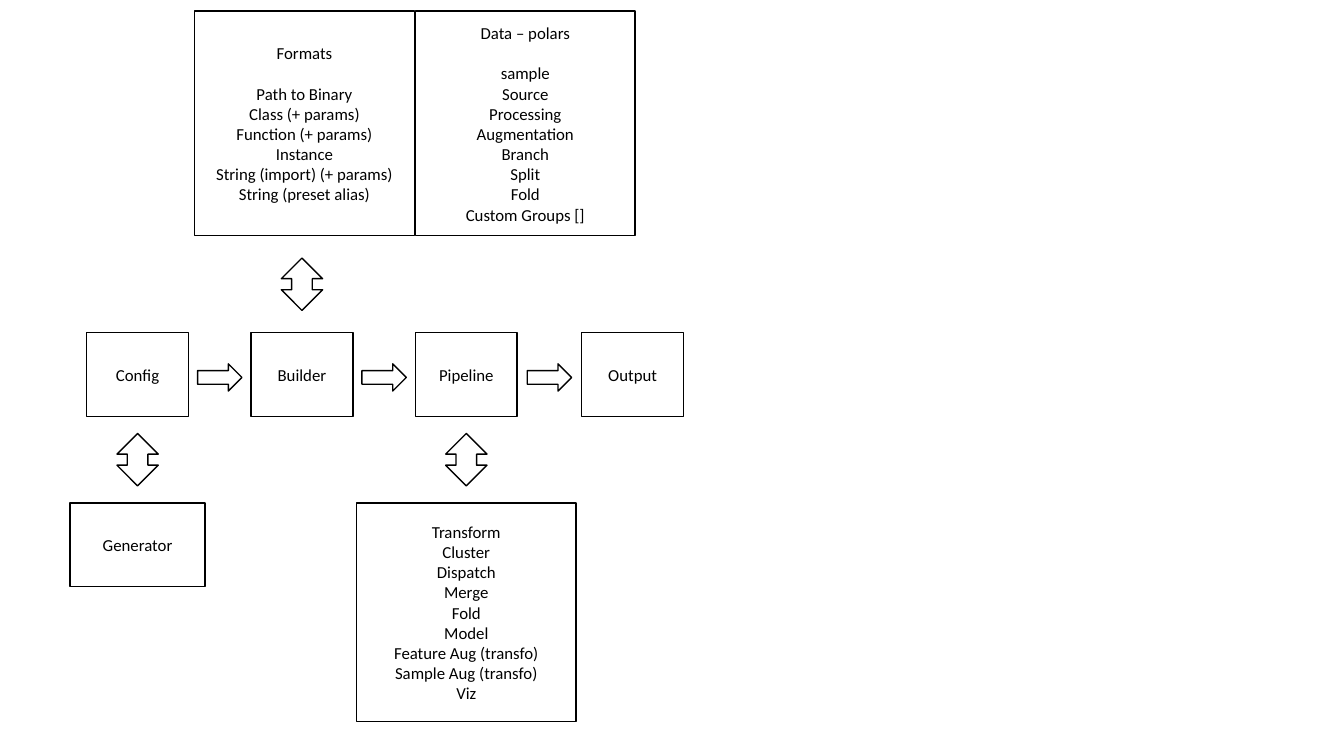
from pptx import Presentation
from pptx.dml.color import RGBColor
from pptx.enum.shapes import MSO_SHAPE
from pptx.enum.text import MSO_ANCHOR, PP_ALIGN
from pptx.util import Inches, Pt

RECTANGLE = MSO_SHAPE.RECTANGLE
RIGHT_ARROW = MSO_SHAPE.RIGHT_ARROW
UP_DOWN_ARROW = MSO_SHAPE.UP_DOWN_ARROW
MIDDLE = MSO_ANCHOR.MIDDLE
CENTER = PP_ALIGN.CENTER

# Content: stages with their left edges, then the boxes around them
STAGES = [("Config", 0.86), ("Builder", 2.49), ("Pipeline", 4.12), ("Output", 5.77)]
REFERENCE_PANELS = [
    (1.93, "Formats", [
        "Path to Binary", "Class (+ params)", "Function (+ params)", "Instance",
        "String (import) (+ params)", "String (preset alias)"]),
    (4.12, "Data – polars", [
        "sample", "Source", "Processing", "Augmentation", "Branch", "Split",
        "Fold", "Custom Groups []"]),
]
# Stage index, width, height, lines
DETAIL_BOXES = [
    (0, 1.34, 0.83, ["Generator"]),
    (2, 2.18, 2.17, [
        "Transform", "Cluster", "Dispatch", "Merge", "Fold", "Model",
        "Feature Aug (transfo)", "Sample Aug (transfo)", "Viz"]),
]
BUILDER = 1

# Layout in inches
STAGE_TOP, STAGE_WIDTH, STAGE_HEIGHT = 3.3, 1.01, 0.83
STAGE_BOTTOM = STAGE_TOP + STAGE_HEIGHT
PANEL_TOP, PANEL_WIDTH, PANEL_HEIGHT = 0.11, 2.18, 2.23
DETAIL_TOP = 4.99
FLOW_TOP, FLOW_WIDTH, FLOW_HEIGHT = 3.61, 0.44, 0.27
EXCHANGE_WIDTH, EXCHANGE_HEIGHT = 0.41, 0.52

FONT, FONT_SIZE = "Calibri", 12
HEADING_GAP = 14.6
BLACK, WHITE = "000000", "FFFFFF"


def color(hex_value):
    return RGBColor.from_string(hex_value)


def add_outlined(slide, kind, left, top, width, height):
    shape = slide.shapes.add_shape(
        kind, Inches(left), Inches(top), Inches(width), Inches(height))
    shape.shadow.inherit = False
    shape.fill.solid()
    shape.fill.fore_color.rgb = color(WHITE)
    shape.line.color.rgb = color(BLACK)
    shape.line.width = Pt(1)
    return shape


def add_box(slide, left, top, width, height, lines, heading_gap=0):
    shape = add_outlined(slide, RECTANGLE, left, top, width, height)
    frame = shape.text_frame
    frame.word_wrap = True
    frame.vertical_anchor = MIDDLE
    for index, line in enumerate(lines):
        paragraph = frame.add_paragraph() if index else frame.paragraphs[0]
        paragraph.alignment = CENTER
        if index == 0 and heading_gap:
            paragraph.space_after = Pt(heading_gap)
        run = paragraph.add_run()
        run.text = line
        run.font.name = FONT
        run.font.size = Pt(FONT_SIZE)
        run.font.color.rgb = color(BLACK)


def stage_center(index):
    return STAGES[index][1] + STAGE_WIDTH / 2


def add_exchange_arrow(slide, stage, gap_top, gap_bottom):
    left = stage_center(stage) - EXCHANGE_WIDTH / 2
    top = (gap_top + gap_bottom - EXCHANGE_HEIGHT) / 2
    add_outlined(slide, UP_DOWN_ARROW, left, top, EXCHANGE_WIDTH, EXCHANGE_HEIGHT)


def main():
    presentation = Presentation()
    presentation.slide_width = Inches(13.33)
    presentation.slide_height = Inches(7.5)
    slide = presentation.slides.add_slide(presentation.slide_layouts[6])

    # Main flow of stages
    for name, left in STAGES:
        add_box(slide, left, STAGE_TOP, STAGE_WIDTH, STAGE_HEIGHT, [name])

    # Flow arrows centred between neighbouring stages
    for index in range(len(STAGES) - 1):
        middle = (stage_center(index) + stage_center(index + 1)) / 2
        add_outlined(slide, RIGHT_ARROW, middle - FLOW_WIDTH / 2, FLOW_TOP,
                     FLOW_WIDTH, FLOW_HEIGHT)

    # Boxes below, centred under their stage
    for stage, width, height, lines in DETAIL_BOXES:
        add_box(slide, stage_center(stage) - width / 2, DETAIL_TOP, width, height, lines)
        add_exchange_arrow(slide, stage, STAGE_BOTTOM, DETAIL_TOP)

    # Panels above the builder
    for left, heading, lines in REFERENCE_PANELS:
        add_box(slide, left, PANEL_TOP, PANEL_WIDTH, PANEL_HEIGHT,
                [heading] + lines, HEADING_GAP)
    add_exchange_arrow(slide, BUILDER, PANEL_TOP + PANEL_HEIGHT, STAGE_TOP)

    presentation.save("out.pptx")


if __name__ == "__main__":
    main()
